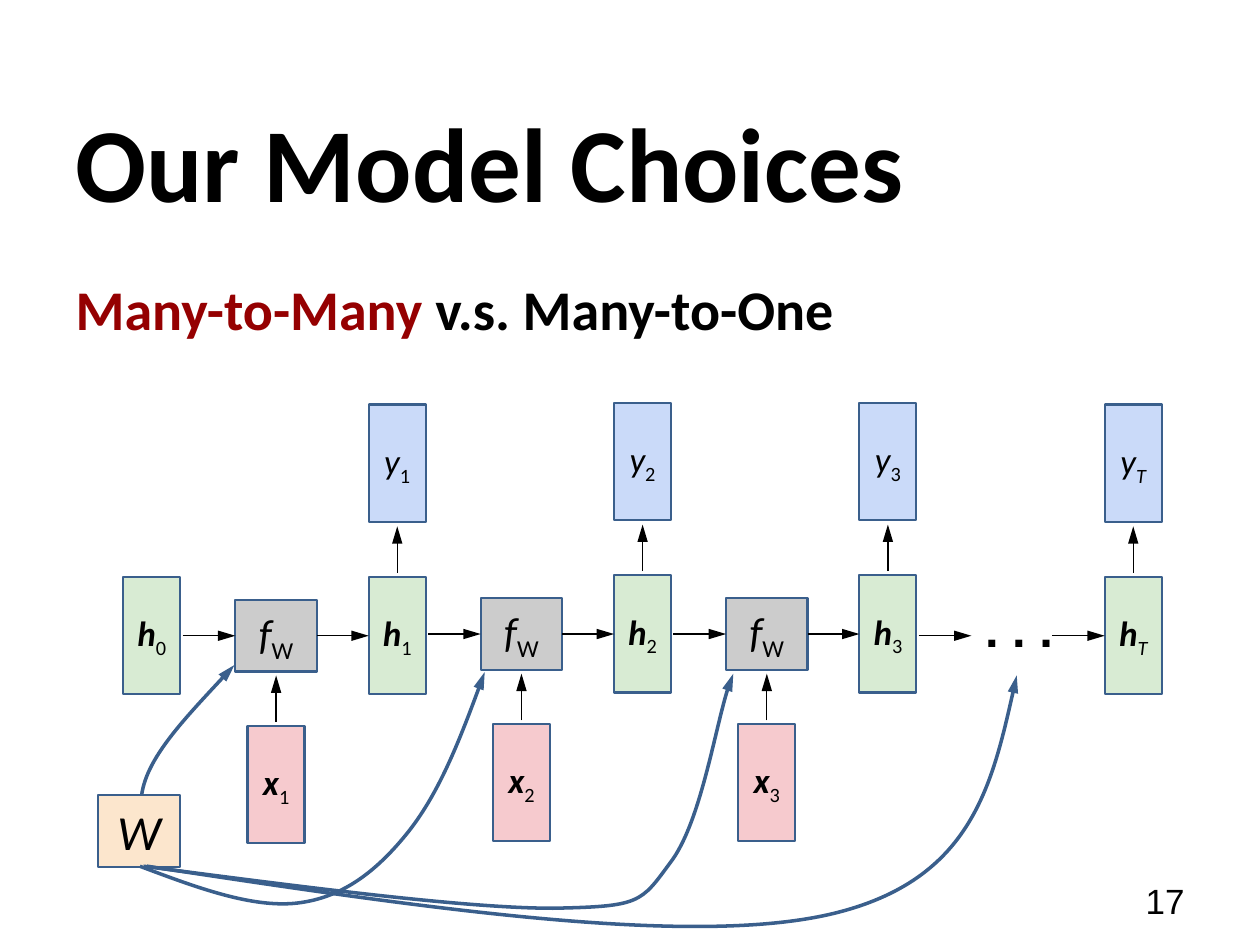
"""Build a slide showing an unrolled many-to-many recurrent network."""
import pptx
import pptx.dml.color
import pptx.enum.shapes
import pptx.enum.text
import pptx.oxml
import pptx.oxml.ns
import pptx.util

Pt = pptx.util.Pt
RGBColor = pptx.dml.color.RGBColor
ALIGN = pptx.enum.text.PP_ALIGN
ANCHOR = pptx.enum.text.MSO_ANCHOR

BLACK = RGBColor(0, 0, 0)
RED = RGBColor(0x95, 0x00, 0x01)
BLUE_LINE = RGBColor(0x3A, 0x5F, 0x8C)

TITLE = "Our Model Choices"
SUBTITLE = [("Many-to-Many ", RED), ("v.s. Many-to-One", BLACK)]
PAGE_NUMBER = "17"
DOTS = ". . ."

STYLES = {
    "h": dict(fill=RGBColor(0xD8, 0xEB, 0xD3), width=32.6, height=67, size=20, bold=True),
    "x": dict(fill=RGBColor(0xF6, 0xCA, 0xCE), width=32.6, height=67, size=20, bold=True),
    "y": dict(fill=RGBColor(0xCA, 0xDA, 0xF9), width=32.6, height=67, size=20, bold=False),
    "f": dict(fill=RGBColor(0xCC, 0xCC, 0xCC), width=46.6, height=41, size=24, bold=False),
    "W": dict(fill=RGBColor(0xFC, 0xE6, 0xCD), width=46.6, height=41, size=28, bold=False),
}

STEPS = [("1", 0), ("2", -1), ("3", -1), ("T", 0)]
FIRST_STATE, PITCH = 227, 140.2
AXIS, OUTPUT_OFFSET, INPUT_OFFSET = 363.3, -98.6, 85
CELL_OFFSET = -69.2

CURVES = [
    [(81.4, 454.3), (83.5, 432.7), (108.7, 406.8), (133.9, 380.2)],
    [(79.9, 495.4), (112.3, 506.9), (144, 519.1), (169.9, 516.2),
     (195.1, 513.4), (213.8, 499), (231.8, 476.6),
     (249.8, 455), (263.5, 419.8), (277.2, 384.5)],
    [(82.1, 495.4), (174.2, 506.9), (265.7, 519.1), (316.1, 519.1),
     (365.8, 518.4), (365.8, 515.5), (383, 493.2),
     (399.6, 470.9), (411.1, 401.8), (419, 385.2)],
    [(83.5, 495.4), (236.2, 517.7), (388.8, 540.7), (471.6, 522.7),
     (554.4, 504.7), (568.1, 445), (581, 385.9)],
]


def add_span(para, text, size, color=BLACK, bold=False, italic=False, name="Calibri", sub=False):
    span = para.add_run()
    span.text = text
    font = span.font
    font.name, font.size, font.bold, font.italic = name, Pt(size), bold, italic
    font.color.rgb = color
    if sub:
        span._r.get_or_add_rPr().set("baseline", "-25000")


def place(shape, left, top, width, height):
    shape.left, shape.top, shape.width, shape.height = (Pt(v) for v in (left, top, width, height))


def add_text_box(page, text, bounds, size, bold=False, align=ALIGN.LEFT, anchor=ANCHOR.TOP, wrap=True):
    box = page.shapes.add_textbox(*(Pt(v) for v in bounds))
    box.text_frame.word_wrap = wrap
    box.text_frame.vertical_anchor = anchor
    para = box.text_frame.paragraphs[0]
    para.alignment = align
    add_span(para, text, size, bold=bold, name="Arial")


def add_node(page, symbol, index, center, middle):
    style = STYLES[symbol]
    width, height = style["width"], style["height"]
    node = page.shapes.add_shape(
        pptx.enum.shapes.MSO_SHAPE.RECTANGLE,
        Pt(center - width / 2), Pt(middle - height / 2), Pt(width), Pt(height))
    node.shadow.inherit = False
    node.fill.solid()
    node.fill.fore_color.rgb = style["fill"]
    node.line.color.rgb = BLUE_LINE
    node.line.width = Pt(1.25)
    frame = node.text_frame
    frame.word_wrap = False
    frame.vertical_anchor = ANCHOR.MIDDLE
    frame.margin_left = frame.margin_right = frame.margin_top = frame.margin_bottom = 0
    para = frame.paragraphs[0]
    para.alignment = ALIGN.CENTER
    add_span(para, symbol, style["size"], bold=style["bold"], italic=True)
    if index:
        add_span(para, index, style["size"], italic=index == "T", sub=True)
    return node


def add_arrowhead(line):
    head = pptx.oxml.parse_xml(
        f'<a:tailEnd {pptx.oxml.ns.nsdecls("a")} type="triangle" w="med" len="lg"/>')
    line._get_or_add_ln().append(head)


def add_arrow(page, start, end, source=None, target=None):
    arrow = page.shapes.add_connector(
        pptx.enum.shapes.MSO_CONNECTOR.STRAIGHT, *(Pt(v) for v in (*start, *end)))
    if source:
        arrow.begin_connect(source, 3)
    if target:
        arrow.end_connect(target, 1)
    arrow.line.color.rgb = BLACK
    arrow.line.width = Pt(0.75)
    add_arrowhead(arrow.line)
    arrow._element.spPr.append(
        pptx.oxml.parse_xml(f'<a:effectLst {pptx.oxml.ns.nsdecls("a")}/>'))


def add_curve(page, points):
    builder = page.shapes.build_freeform(*points[0], scale=float(Pt(1)))
    builder.add_line_segments(points[1:], close=False)
    curve = builder.convert_to_shape()
    qn = pptx.oxml.ns.qn
    outline = next(curve._element.iter(qn("a:path")))
    segments = outline.findall(qn("a:lnTo"))
    for first in range(0, len(segments), 3):
        bend = pptx.oxml.parse_xml(f'<a:cubicBezTo {pptx.oxml.ns.nsdecls("a")}/>')
        for segment in segments[first:first + 3]:
            bend.append(segment[0])
            outline.remove(segment)
        outline.append(bend)
    curve.shadow.inherit = False
    curve.fill.background()
    curve.line.color.rgb = BLUE_LINE
    curve.line.width = Pt(2)
    add_arrowhead(curve.line)


def add_step(page, index, lift, center):
    axis = AXIS + lift
    state = add_node(page, "h", index, center, axis)
    add_node(page, "y", index, center, axis + OUTPUT_OFFSET)
    add_arrow(page, (center, axis - 36), (center, axis - 62.5))
    cell, cell_center = None, center + CELL_OFFSET
    if index != "T":
        cell = add_node(page, "f", "W", cell_center, axis)
        add_node(page, "x", index, cell_center, axis + INPUT_OFFSET)
        add_arrow(page, (cell_center, axis + 49.3), (cell_center, axis + 22.7))
    add_arrow(page, (center - 122.6, axis), (center - 92.5, axis), target=cell)
    add_arrow(page, (center - 46.2, axis), (center - 16.3, axis), source=cell, target=state)


def add_heading(page):
    title, body = page.placeholders
    place(title, 36, 46.8, 648, 90)
    place(body, 36, 153.4, 669.6, 332.6)
    for holder, anchor in ((title, ANCHOR.MIDDLE), (body, ANCHOR.TOP)):
        holder.text_frame.auto_size = pptx.enum.text.MSO_AUTO_SIZE.NONE
        holder.text_frame.vertical_anchor = anchor
        holder.text_frame.paragraphs[0].alignment = ALIGN.LEFT
        holder.text_frame.paragraphs[0].space_before = Pt(0)
    add_span(title.text_frame.paragraphs[0], TITLE, 60, bold=True)
    para = body.text_frame.paragraphs[0]
    properties = para._p.get_or_add_pPr()
    properties.set("marL", "0")
    properties.set("indent", "0")
    properties.append(pptx.oxml.parse_xml(f'<a:buNone {pptx.oxml.ns.nsdecls("a")}/>'))
    for text, color in SUBTITLE:
        add_span(para, text, 32, color, bold=True)


def main():
    deck = pptx.Presentation()
    deck.slide_width, deck.slide_height = Pt(720), Pt(540)
    page = deck.slides.add_slide(deck.slide_layouts[1])
    add_heading(page)
    add_text_box(page, PAGE_NUMBER, (516.2, 500.4, 167.8, 28.8), 20,
                 align=ALIGN.RIGHT, anchor=ANCHOR.MIDDLE)
    add_node(page, "h", "0", FIRST_STATE - PITCH, AXIS)
    add_node(page, "W", "", 79.5, 474.8)
    for position, (index, lift) in enumerate(STEPS):
        add_step(page, index, lift, FIRST_STATE + position * PITCH)
    for points in CURVES:
        add_curve(page, points)
    add_text_box(page, DOTS, (555.8, 338.4, 54, 41), 28, bold=True, wrap=False)
    deck.save("out.pptx")


if __name__ == "__main__":
    main()
